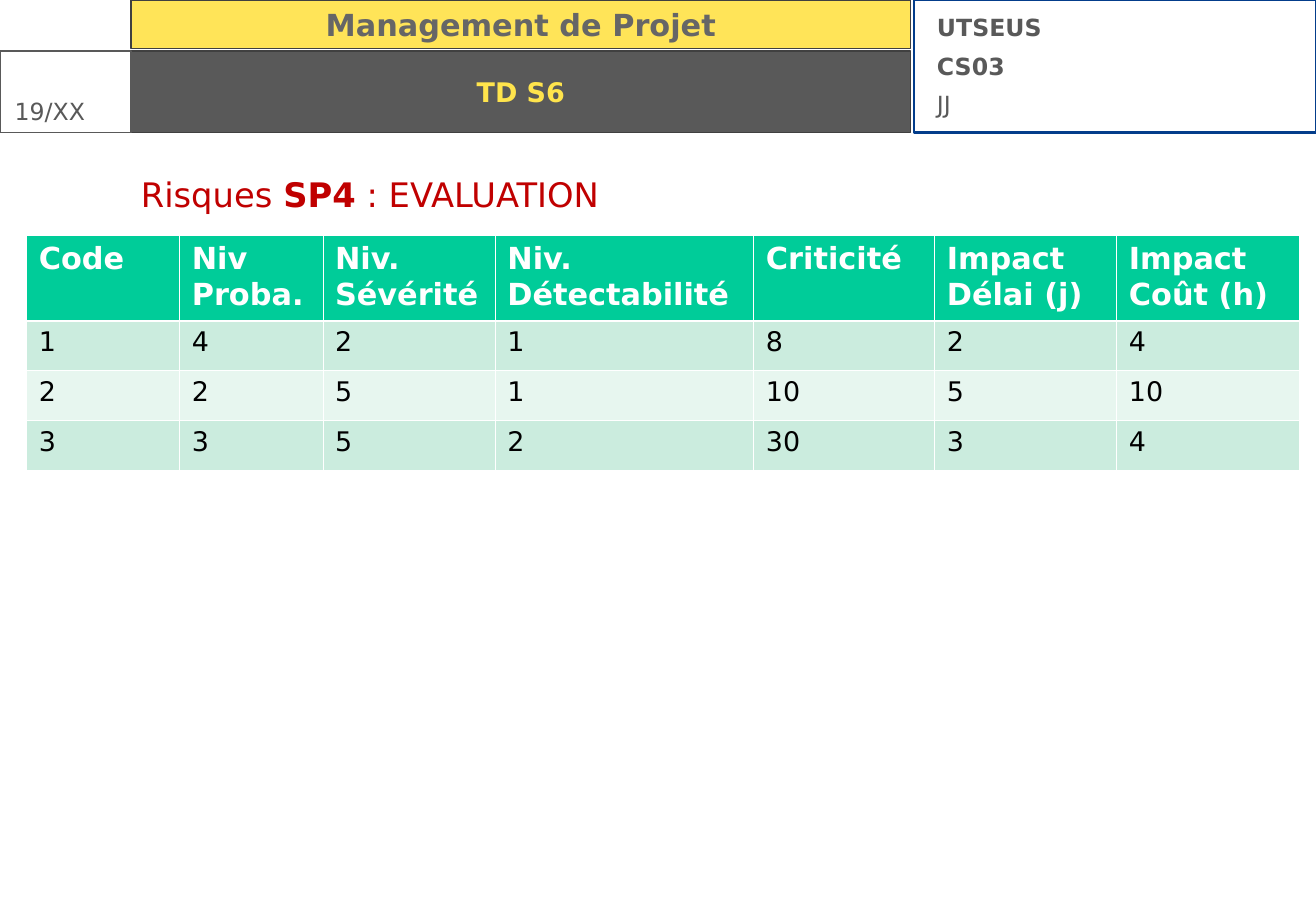
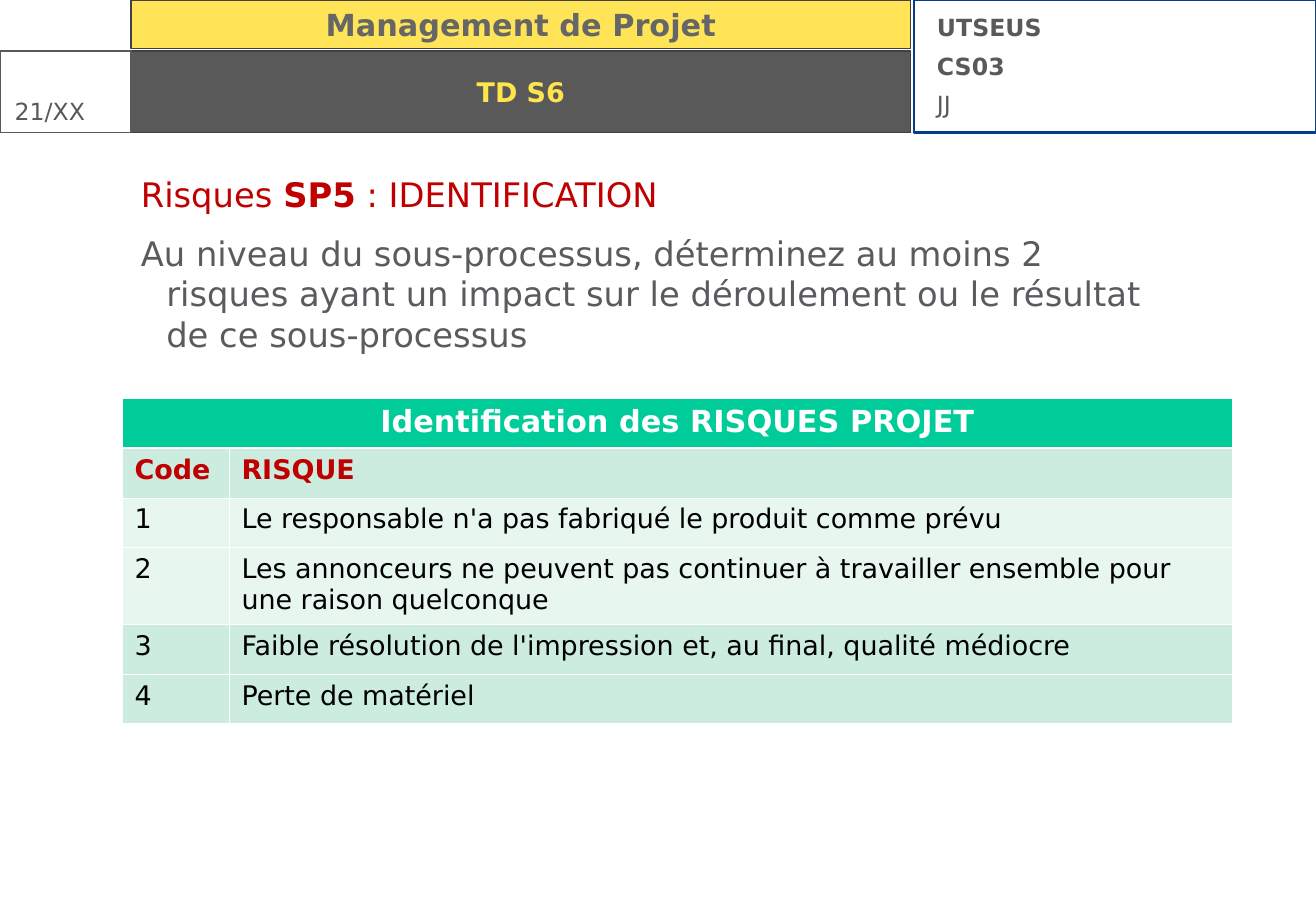
"""Build two project-risk slides that share one header."""
from dataclasses import dataclass

from lxml import etree
from pptx import Presentation, util as u
from pptx.dml.color import RGBColor
from pptx.enum import shapes, text as t
from pptx.oxml.ns import qn

PX = 9144
FONT = "DejaVu Sans"
WHITE = RGBColor(0xFF, 0xFF, 0xFF)
BLACK = RGBColor(0x00, 0x00, 0x00)
RED = RGBColor(0xC0, 0x00, 0x00)
NAVY = RGBColor(0x03, 0x3D, 0x8B)
YELLOW = RGBColor(0xFF, 0xD9, 0x12)
TITLE_YELLOW = RGBColor(0xFF, 0xE4, 0x4C)
DARK = RGBColor(0x40, 0x40, 0x40)
GREY = RGBColor(0x59, 0x59, 0x59)
COURSE_GREY = RGBColor(0x66, 0x66, 0x66)
BODY_GREY = RGBColor(0x5A, 0x5B, 0x5E)
GREEN = RGBColor(0x00, 0xCC, 0x99)
BAND = RGBColor(0xCB, 0xEC, 0xDE)
PALE_BAND = RGBColor(0xE7, 0xF6, 0xEF)
THIN, THICK = 0.45, 1.47
LEFT, CENTER = t.PP_ALIGN.LEFT, t.PP_ALIGN.CENTER


@dataclass(frozen=True)
class Box:
    left: int
    top: int
    width: int
    height: int

    def emu(self) -> tuple[int, int, int, int]:
        return self.left * PX, self.top * PX, self.width * PX, self.height * PX


@dataclass(frozen=True)
class Row:
    texts: tuple[str, ...]
    fill: RGBColor = BAND
    height: int = 41
    size: int = 16
    color: RGBColor = BLACK
    align: t.PP_ALIGN = LEFT


@dataclass(frozen=True)
class RiskTable:
    left: int
    top: int
    columns: tuple[int, ...]
    rows: tuple[Row, ...]
    merge_first_row: bool = False


@dataclass(frozen=True)
class RiskSlide:
    number: str
    heading: str
    table: RiskTable
    instruction: str = ""


TITLE_BOX = Box(108, 42, 642, 67)
SLIDES = (
    RiskSlide(
        "19/XX",
        "Risques **SP4** : EVALUATION",
        RiskTable(22, 194, (126, 118, 142, 213, 149, 150, 150), (
            Row(("**Code**", "**Niv**\n**Proba.**", "**Niv.**\n**Sévérité**",
                 "**Niv.**\n**Détectabilité**", "**Criticité**",
                 "**Impact**\n**Délai (j)**", "**Impact Coût (h)**"),
                GREEN, 70, 18, WHITE),
            Row(("1", "4", "2", "1", "8", "2", "4")),
            Row(("2", "2", "5", "1", "10", "5", "10"), PALE_BAND),
            Row(("3", "3", "5", "2", "30", "3", "4")),
        )),
    ),
    RiskSlide(
        "21/XX",
        "Risques **SP5** : IDENTIFICATION",
        RiskTable(101, 328, (88, 826), (
            Row(("**Identification des RISQUES PROJET**",),
                GREEN, 41, 18, WHITE, CENTER),
            Row(("**Code**", "**RISQUE**"), color=RED),
            Row(("1", "Le responsable n'a pas fabriqué le produit comme prévu"),
                PALE_BAND),
            Row(("2", "Les annonceurs ne peuvent pas continuer à travailler "
                 "ensemble pour une raison quelconque"), PALE_BAND, 63),
            Row(("3", "Faible résolution de l'impression et, au final, "
                 "qualité médiocre")),
            Row(("4", "Perte de matériel")),
        ), merge_first_row=True),
        "Au niveau du sous-processus, déterminez au moins 2 risques ayant un "
        "impact sur le déroulement ou le résultat de ce sous-processus",
    ),
)


def write(frame, content: str, *, size: int, color: RGBColor,
          align: t.PP_ALIGN = LEFT, before: int = 0, after: int = 0,
          hanging: int = 0) -> None:
    """Add one paragraph per line, with **marked** parts in bold."""
    for line in content.split("\n"):
        first = frame.paragraphs[0]
        is_first = not first.runs
        paragraph = first if is_first else frame.add_paragraph()
        paragraph.alignment = align
        paragraph.space_before = u.Pt(0 if is_first else before)
        paragraph.space_after = u.Pt(after)
        if hanging:
            properties = paragraph._p.get_or_add_pPr()
            properties.set("marL", str(hanging * PX))
            properties.set("indent", str(-hanging * PX))
        for index, part in enumerate(line.split("**")):
            if part:
                run = paragraph.add_run()
                run.text = part
                run.font.name = FONT
                run.font.size = u.Pt(size)
                run.font.bold = index % 2 == 1
                run.font.color.rgb = color


def set_frame(frame, insets: tuple[int, int, int, int] = (10, 5, 10, 5),
              anchor: t.MSO_ANCHOR = t.MSO_ANCHOR.TOP):
    """Set wrapping, insets and anchor of a text frame."""
    frame.word_wrap = True
    frame.auto_size = t.MSO_AUTO_SIZE.NONE
    frame.vertical_anchor = anchor
    (frame.margin_left, frame.margin_top,
     frame.margin_right, frame.margin_bottom) = (inset * PX for inset in insets)
    return frame


def add_text_box(slide, box: Box, insets: tuple[int, int, int, int] = (10, 5, 10, 5)):
    """Add a wrapping text box and return its frame."""
    return set_frame(slide.shapes.add_textbox(*box.emu()).text_frame, insets)


def paint(shape, line: RGBColor, weight: float, fill: RGBColor | None = None) -> None:
    """Set the outline and the fill of a shape."""
    shape.line.color.rgb = line
    shape.line.width = u.Pt(weight)
    if fill is None:
        shape.fill.background()
    else:
        shape.fill.solid()
        shape.fill.fore_color.rgb = fill


def add_rectangle(slide, box: Box, line: RGBColor, weight: float,
                  fill: RGBColor | None = None):
    """Add a flat rectangle."""
    shape = slide.shapes.add_shape(shapes.MSO_SHAPE.RECTANGLE, *box.emu())
    shape.shadow.inherit = False
    paint(shape, line, weight, fill)
    return shape


def add_header(slide, number: str) -> None:
    """Draw the course band, the title, the page number and the class details."""
    add_rectangle(slide, Box(753, 0, 331, 109), NAVY, 1.5)
    course = add_rectangle(slide, Box(108, 0, 642, 40), DARK, 0.75, YELLOW)
    fill_color = course._element.spPr.find(qn("a:solidFill"))[0]
    etree.SubElement(fill_color, qn("a:alpha"), val="70000")
    write(set_frame(course.text_frame), "**Management de Projet**", size=18,
          color=COURSE_GREY, align=CENTER, hanging=11)
    write(add_text_box(slide, Box(0, 75, 108, 60), (12, 5, 0, 5)), number,
          size=14, color=GREY)
    add_rectangle(slide, Box(0, 42, 108, 67), GREY, 0.75)
    write(add_text_box(slide, Box(762, 6, 317, 97)), "**UTSEUS**\n**CS03**\nJJ",
          size=14, color=GREY, after=6)
    title = slide.shapes.title
    title.left, title.top, title.width, title.height = TITLE_BOX.emu()
    paint(title, DARK, 0.75, GREY)
    write(set_frame(title.text_frame, anchor=t.MSO_ANCHOR.MIDDLE), "**TD S6**",
          size=16, color=TITLE_YELLOW, align=CENTER)


def set_borders(cell, top: float, bottom: float) -> None:
    """Give a cell white borders."""
    properties = cell._tc.get_or_add_tcPr()
    weights = {"lnL": THIN, "lnR": THIN, "lnT": top, "lnB": bottom}
    for index, (tag, weight) in enumerate(weights.items()):
        border = etree.Element(qn(f"a:{tag}"), w=str(int(u.Pt(weight))))
        fill = etree.SubElement(border, qn("a:solidFill"))
        etree.SubElement(fill, qn("a:srgbClr"), val=str(WHITE))
        properties.insert(index, border)


def add_risk_table(slide, risk_table: RiskTable) -> None:
    """Draw a table with a green first row and tinted rows below."""
    rows, columns = risk_table.rows, risk_table.columns
    box = Box(risk_table.left, risk_table.top, sum(columns),
              sum(row.height for row in rows))
    table = slide.shapes.add_table(len(rows), len(columns), *box.emu()).table
    table.first_row = table.horz_banding = False
    for column, width in zip(table.columns, columns):
        column.width = width * PX
    for index, row in enumerate(rows):
        table.rows[index].height = row.height * PX
        for cell in table.rows[index].cells:
            cell.fill.solid()
            cell.fill.fore_color.rgb = row.fill
            set_borders(cell, THICK if index == 1 else THIN,
                        THICK if index == 0 else THIN)
        for cell, content in zip(table.rows[index].cells, row.texts):
            write(cell.text_frame, content, size=row.size, color=row.color,
                  align=row.align)
    if risk_table.merge_first_row:
        table.cell(0, 0).merge(table.cell(0, len(columns) - 1))


def add_risk_slide(presentation, content: RiskSlide) -> None:
    """Add one slide with its header, body text and table."""
    slide = presentation.slides.add_slide(presentation.slide_layouts[5])
    add_header(slide, content.number)
    body = add_text_box(slide, Box(104, 142, 875, 554), (12, 1, 12, 0))
    write(body, content.heading, size=20, color=RED, after=6, hanging=21)
    if content.instruction:
        write(body, content.instruction, size=20, color=BODY_GREY, before=5,
              after=6, hanging=21)
    add_risk_table(slide, content.table)


def main() -> None:
    """Build and save the presentation."""
    presentation = Presentation()
    presentation.slide_width, presentation.slide_height = 1084 * PX, 750 * PX
    for content in SLIDES:
        add_risk_slide(presentation, content)
    presentation.save("out.pptx")


if __name__ == "__main__":
    main()
